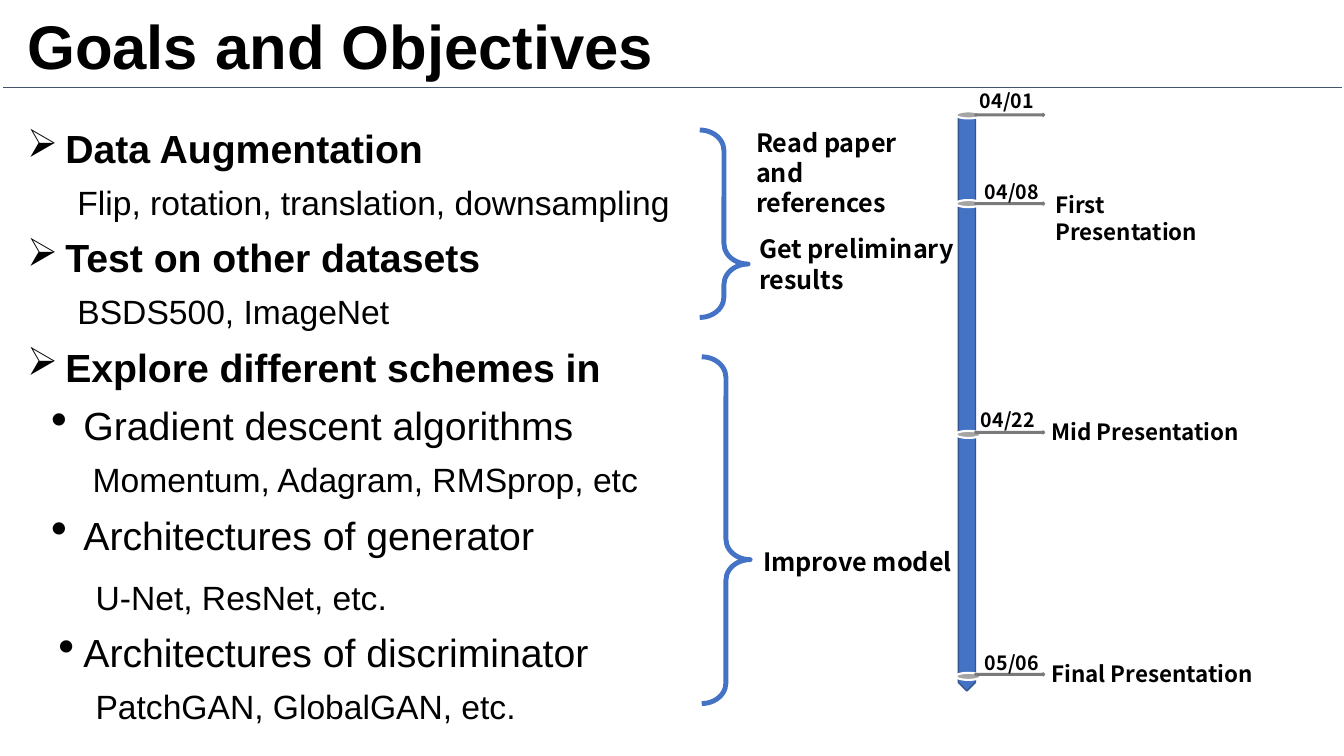
"""Build the Goals and Objectives slide with its timeline."""
import pptx
import pptx.util
import pptx.dml.color
import pptx.enum.shapes
import pptx.enum.text
import pptx.oxml
import pptx.oxml.ns
from lxml import etree

Inches = pptx.util.Inches
Pt = pptx.util.Pt
RGBColor = pptx.dml.color.RGBColor
Shape = pptx.enum.shapes.MSO_SHAPE
Anchor = pptx.enum.text.MSO_ANCHOR
Align = pptx.enum.text.PP_ALIGN
qn = pptx.oxml.ns.qn

BLACK = RGBColor(0, 0, 0)
WHITE = RGBColor(255, 255, 255)
BLUE = RGBColor(0x44, 0x72, 0xC4)
NAVY = RGBColor(0x32, 0x54, 0x91)
SLATE = RGBColor(0x44, 0x54, 0x6A)
GRAY = RGBColor(0xA5, 0xA5, 0xA5)
DARK = RGBColor(0x7A, 0x7A, 0x7A)

GOALS = [
    ("Data Augmentation", 28, True, 0.38, -0.38, "➢", 0),
    ("Flip, rotation, translation, downsampling", 24, False, 0.5, 0, "", 0),
    ("Test on other datasets", 28, True, 0.38, -0.38, "➢", 0),
    ("BSDS500, ImageNet", 24, False, 0.5, 0, "", 0),
    ("Explore different schemes in", 28, True, 0.38, -0.38, "➢", 0),
    ("Gradient descent algorithms", 28, False, 0.56, -0.32, "•", 0),
    ("Momentum, Adagram, RMSprop, etc", 24, False, 0.65, 0, "", 0),
    ("Architectures of generator", 28, False, 0.56, -0.32, "•", 0),
    ("U-Net, ResNet, etc.", 24, False, 0.68, 0, "", 6),
    ("Architectures of discriminator", 28, False, 0.56, -0.25, "•", 0),
    ("PatchGAN, GlobalGAN, etc.", 24, False, 0.68, 0, "", 0),
]
DATES = [
    ("04/01", 9.62, 0.83, 1.14, 1.14),
    ("04/08", 9.67, 1.74, 2.02, 2.02),
    ("04/22", 9.63, 4.0, 4.31, 4.29),
    ("05/06", 9.67, 6.41, 6.71, 6.69),
]
EVENTS = [
    ("First Presentation", 10.37, 1.85, 1.97),
    ("Mid Presentation", 10.33, 4.1, 2.15),
    ("Final Presentation", 10.33, 6.5, 2.3),
]
TASKS = [
    ("Read paper and references", 7.4, 1.21, 1.99, 0.71),
    ("Get preliminary results", 7.43, 2.27, 2.33, 0.71),
    ("Improve model", 7.47, 5.37, 2.44, 0.4),
]
BRACES = [
    (6.94, 1.29, 1.86, 0.715),
    (6.96, 3.54, 3.44, 0.585),
]


class Board:
    """Hold the fonts and the current slide, and draw its elements."""

    def __init__(self, slide):
        self.slide = slide
        self.shapes = slide.shapes
        self.sans = "Arial"
        self.label = "Noto Sans CJK SC"

    def style(self, para, face, size, bold):
        """Set the font of a paragraph."""
        font = para.font
        font.name, font.size, font.bold = face, Pt(size), bold
        font.color.rgb = BLACK

    def title(self, text, *box):
        """Place and format the title."""
        head = self.shapes.title
        head.left, head.top, head.width, head.height = map(Inches, box)
        frame = head.text_frame
        frame.text = text
        frame.vertical_anchor = Anchor.MIDDLE
        para = frame.paragraphs[0]
        para.alignment = Align.LEFT
        self.style(para, self.sans, 44, True)

    def frame(self, *box):
        """Add a wrapping text box and return its frame."""
        frame = self.shapes.add_textbox(*map(Inches, box)).text_frame
        frame.word_wrap = True
        return frame

    def text(self, text, size, *box):
        """Add a bold label."""
        para = self.frame(*box).paragraphs[0]
        para.text = text
        self.style(para, self.label, size, True)

    def list(self, rows, *box):
        """Add the indented list of goals."""
        frame = self.frame(*box)
        for num, (text, size, bold, left, hang, mark, gap) in enumerate(rows):
            para = frame.add_paragraph() if num else frame.paragraphs[0]
            para.text = text
            para.line_spacing = 1.25
            para.space_before = Pt(gap)
            self.style(para, self.sans, size, bold)
            props = para._p.get_or_add_pPr()
            props.set("marL", str(Inches(left)))
            props.set("indent", str(Inches(hang)))
            if mark == "•":
                etree.SubElement(props, qn("a:buSzPct")).set("val", "120000")
            if mark:
                etree.SubElement(props, qn("a:buChar")).set("char", mark)
            for item in props.findall(qn("a:defRPr")):
                props.append(item)

    def shape(self, kind, fill, line, width, *box):
        """Add a preset shape, hollow when fill is None."""
        item = self.shapes.add_shape(kind, *map(Inches, box))
        item.shadow.inherit = False
        if fill is None:
            item.fill.background()
        else:
            item.fill.solid()
            item.fill.fore_color.rgb = fill
        item.line.color.rgb = line
        item.line.width = Pt(width)
        return item

    def rule(self, left, right, top):
        """Add a thin horizontal line."""
        line = self.shapes.add_connector(
            pptx.enum.shapes.MSO_CONNECTOR.STRAIGHT,
            Inches(left), Inches(top), Inches(right), Inches(top))
        line.line.color.rgb = SLATE
        line.line.width = Pt(0.75)
        etree.SubElement(line._element.spPr, qn("a:effectLst"))

    def date(self, text, left, top, dot, tip):
        """Add a timeline date with its dot and arrow."""
        self.shape(Shape.OVAL, GRAY, WHITE, 1.5, 9.48, dot - 0.035, 0.25, 0.07)
        self.shape(Shape.RIGHT_ARROW, GRAY, DARK, 1,
                   9.67, tip - 0.015, 0.69, 0.03)
        self.text(text, 14, left, top, 0.82, 0.32)

    def brace(self, left, top, height, point):
        """Add a right brace whose tip sits at the given fraction."""
        item = self.shape(Shape.RIGHT_BRACE, None, BLUE, 3.5,
                          left, top, 0.48, height)
        item.adjustments[0] = 0.426
        item.adjustments[1] = point


def main():
    """Build and save the slide."""
    deck = pptx.Presentation()
    deck.slide_width, deck.slide_height = Inches(13.33), Inches(7.5)
    board = Board(deck.slides.add_slide(deck.slide_layouts[5]))
    board.title("Goals and Objectives", 0.17, 0.02, 8.07, 0.84)
    board.list(GOALS, 0.17, 1.07, 6.63, 6.27)
    board.rule(0.03, 13.31, 0.87)
    bar = board.shape(Shape.PENTAGON, BLUE, NAVY, 1, 6.74, 3.92, 5.7, 0.17)
    bar.rotation = 90
    for row in DATES:
        board.date(*row)
    for text, left, top, width in EVENTS:
        board.text(text, 16, left, top, width, 0.37)
    for text, *box in TASKS:
        board.text(text, 18, *box)
    for row in BRACES:
        board.brace(*row)
    deck.save("out.pptx")


if __name__ == "__main__":
    main()
